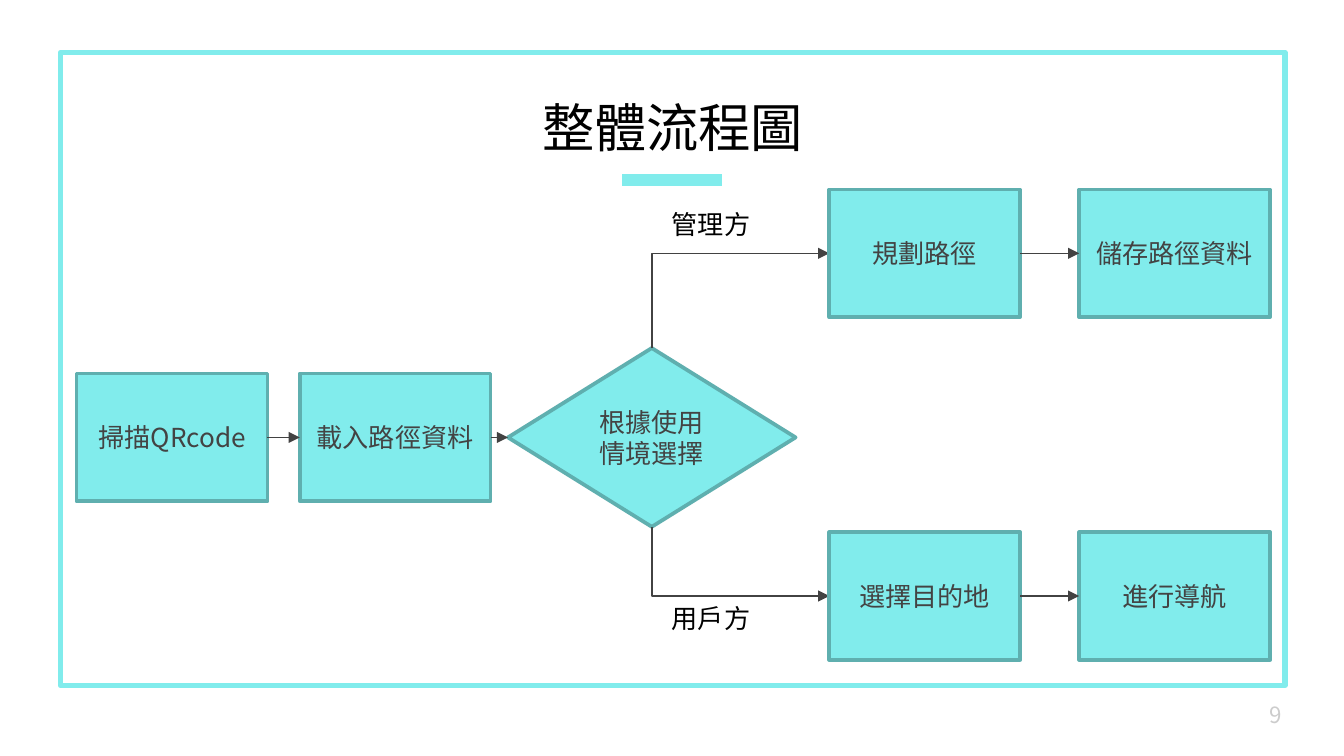
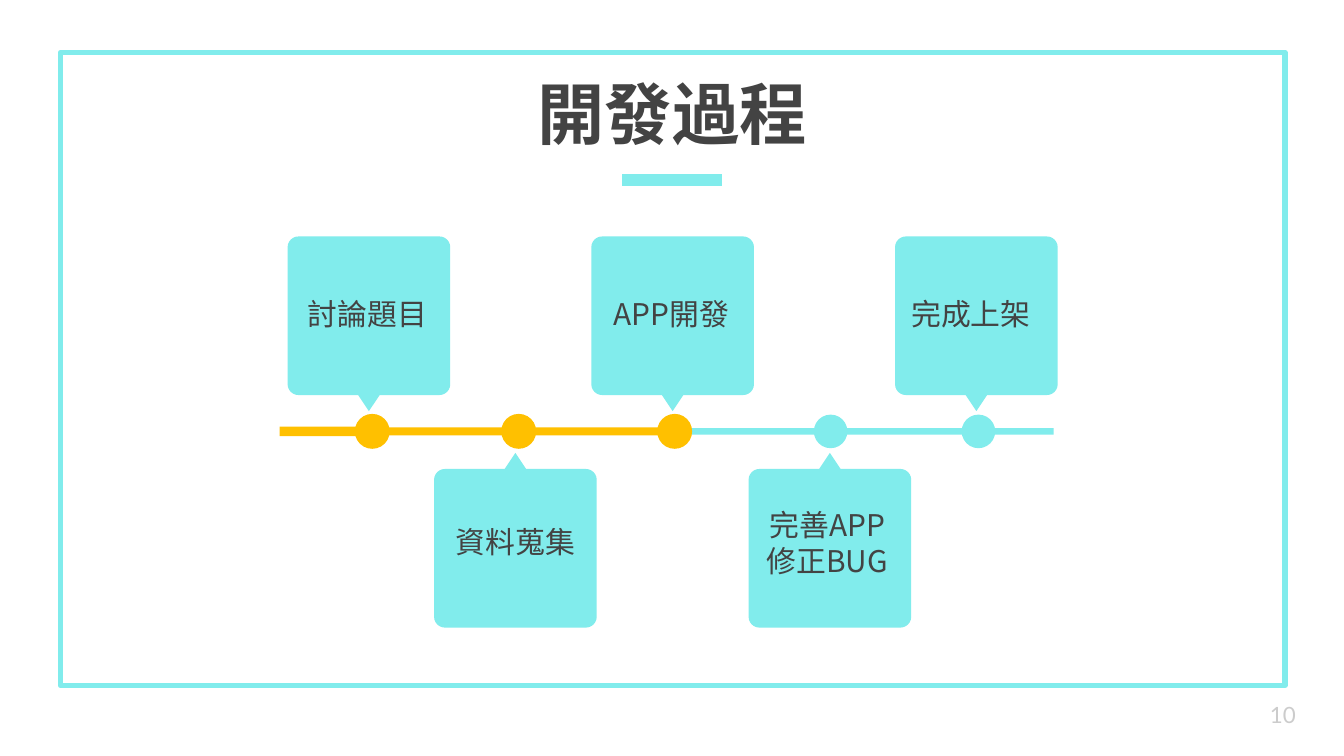
import math
from itertools import pairwise

from lxml import etree
from pptx import Presentation
from pptx import util as u
from pptx.dml.color import RGBColor
from pptx.enum import shapes, text
from pptx.oxml.ns import qn

AQUA, TEAL, GOLD = "81ECEC", "5FAFAF", "FFC000"
INK, ARROW, BLACK, GREY = "434343", "424242", "000000", "CCCCCC"
CJK = "Noto Sans CJK JP"
TITLE_ONLY = 5
SLIDE_WIDTH = 10
SLIDE_HEIGHT = SLIDE_WIDTH * 9 / 16
BOX_WIDTH, BOX_HEIGHT = 1.42, 0.95
CARD_WIDTH, CARD_HEIGHT, CARD_RADIUS = 1.21, 1.18, 0.08
POINTER_HALF, POINTER_HEIGHT = 0.08, 0.12


def color(value):
    return RGBColor.from_string(value)


def inches(*values):
    return [u.Inches(value) for value in values]


def write(shape, content, size=14, fill=INK, font=CJK, bold=False, align="LEFT",
          anchor="TOP", inset=None, wrap=True, grow=False):
    frame = shape.text_frame
    frame.text = content
    frame.word_wrap = wrap
    fit = text.MSO_AUTO_SIZE
    frame.auto_size = fit.SHAPE_TO_FIT_TEXT if grow else fit.NONE
    frame.vertical_anchor = text.MSO_ANCHOR[anchor]
    if inset is not None:
        for side in ("left", "top", "right", "bottom"):
            setattr(frame, f"margin_{side}", u.Inches(inset))
    for paragraph in frame.paragraphs:
        paragraph.alignment = text.PP_ALIGN[align]
        for run in paragraph.runs:
            run.font.size = u.Pt(size)
            run.font.bold = bold
            run.font.color.rgb = color(fill)
            run.font.name = font
            latin = run.font._element.find(qn("a:latin"))
            east_asian = etree.Element(qn("a:ea"), typeface=font)
            latin.addnext(east_asian)


def add_text(slide, box, content, **style):
    shape = slide.shapes.add_textbox(*inches(*box))
    write(shape, content, **style)
    return shape


def paint(shape, fill=None, line=None, width=0):
    shape.shadow.inherit = False
    if fill:
        shape.fill.solid()
        shape.fill.fore_color.rgb = color(fill)
    else:
        shape.fill.background()
    if line:
        shape.line.color.rgb = color(line)
        shape.line.width = u.Pt(width)
        etree.SubElement(shape.line._get_or_add_ln(), qn("a:round"))
    else:
        shape.line.fill.background()
    return shape


def add_shape(slide, kind, box, **style):
    shape = slide.shapes.add_shape(shapes.MSO_SHAPE[kind], *inches(*box))
    return paint(shape, **style)


def add_line(slide, start, end, kind="STRAIGHT", line=ARROW, width=0.75, arrow=True):
    connector = slide.shapes.add_connector(
        shapes.MSO_CONNECTOR[kind], *inches(*start, *end))
    connector.line.color.rgb = color(line)
    connector.line.width = u.Pt(width)
    if arrow:
        etree.SubElement(connector.line._get_or_add_ln(), qn("a:tailEnd"), type="triangle")
    etree.SubElement(connector.element.spPr, qn("a:effectLst"))
    return connector


def join(slide, source, target):
    connector = add_line(slide, (0, 0), (1, 1))
    connector.begin_connect(source, 3)
    connector.end_connect(target, 1)


def add_bend(slide, start, end):
    rise, run = abs(end[1] - start[1]), end[0] - start[0]
    middle_x, middle_y = (start[0] + end[0]) / 2, (start[1] + end[1]) / 2
    left, right = middle_x - rise / 2, middle_x + rise / 2
    top, bottom = middle_y - run / 2, middle_y + run / 2
    upward = end[1] < start[1]
    if upward:
        top, bottom = bottom, top
    connector = add_line(slide, (right, top), (left, bottom), "ELBOW")
    properties = connector.element.spPr
    properties.find(qn("a:xfrm")).set("rot", "5400000" if upward else "16200000")
    properties.find(qn("a:prstGeom")).set("prst", "bentConnector2")


def add_page(presentation, number, title, title_box, number_font=CJK, **title_style):
    slide = presentation.slides.add_slide(presentation.slide_layouts[TITLE_ONLY])
    add_shape(slide, "RECTANGLE", (0.45, 0.39, 9.11, 4.71), line=AQUA, width=3)
    add_line(slide, (4.63, 1.34), (5.37, 1.34), line=AQUA, width=6, arrow=False)
    heading = slide.shapes.title
    heading.left, heading.top, heading.width, heading.height = inches(*title_box)
    write(heading, title, align="CENTER", **title_style)
    add_text(slide, (9.35, 5.1, 0.6, 0.43), str(number), size=12, fill=GREY,
             font=number_font, anchor="MIDDLE", inset=0.1)
    return slide


def add_step(slide, left, top, content, kind="RECTANGLE", width=BOX_WIDTH, height=BOX_HEIGHT):
    shape = add_shape(slide, kind, (left, top, width, height), fill=AQUA, line=TEAL, width=2)
    write(shape, content, align="CENTER", anchor="MIDDLE")
    return shape


def add_branch(slide, start, left, top, label_top, label, steps):
    add_bend(slide, start, (left, top + BOX_HEIGHT / 2))
    boxes = [add_step(slide, left + index * 1.86, top, step)
             for index, step in enumerate(steps)]
    join(slide, *boxes)
    add_text(slide, (4.9, label_top, 0.79, 0.34), label, fill=BLACK, wrap=False, grow=True)


def build_flow(presentation):
    slide = add_page(presentation, 9, "整體流程圖", (3.92, 0.66, 2.17, 0.57),
                     size=28, fill=BLACK, wrap=False, grow=True, inset=0.05)
    chain = [
        add_step(slide, 0.57, 2.78, "掃描QRcode"),
        add_step(slide, 2.23, 2.78, "載入路徑資料"),
        add_step(slide, 3.78, 2.59, "根據使用情境選擇", "DIAMOND", 2.14, 1.33),
    ]
    for source, target in pairwise(chain):
        join(slide, source, target)
    add_branch(slide, (4.85, 2.59), 6.17, 1.41, 1.5, "管理方", ["規劃路徑", "儲存路徑資料"])
    add_branch(slide, (4.85, 3.92), 6.17, 3.96, 4.43, "用戶方", ["選擇目的地", "進行導航"])


def card_outline():
    right, bottom, radius = CARD_WIDTH, CARD_HEIGHT, CARD_RADIUS
    corners = [(radius, radius, 180), (right - radius, radius, 270),
               (right - radius, bottom - radius, 0), (radius, bottom - radius, 90)]
    points = []
    for index, (x, y, start) in enumerate(corners):
        if index == 3:
            points += [(right / 2 + POINTER_HALF, bottom),
                       (right / 2, bottom + POINTER_HEIGHT),
                       (right / 2 - POINTER_HALF, bottom)]
        for degrees in range(start, start + 91, 15):
            angle = math.radians(degrees)
            points.append((x + radius * math.cos(angle), y + radius * math.sin(angle)))
    return points


def add_card(slide, left, top, above, label, label_left, label_top):
    full = CARD_HEIGHT + POINTER_HEIGHT
    points = [(u.Inches(left + x), u.Inches(top + (y if above else full - y)))
              for x, y in card_outline()]
    builder = slide.shapes.build_freeform(*points[0])
    builder.add_line_segments(points[1:])
    paint(builder.convert_to_shape(), fill=AQUA)
    add_text(slide, (left + label_left, top + label_top, 1.13, 0.26), label,
             size=16, align="CENTER", inset=0.1)


def add_track(slide, middle):
    bars = [(2.09, 7.84, 0.05, AQUA), (2.08, 2.7, 0.07, GOLD),
            (2.89, 3.77, 0.06, GOLD), (3.98, 5, 0.06, GOLD)]
    for left, right, height, fill in bars:
        add_shape(slide, "RECTANGLE", (left, middle - height / 2, right - left, height), fill=fill)
    dots = [(2.77, GOLD), (3.86, GOLD), (5.02, GOLD), (6.18, AQUA), (7.28, AQUA)]
    for center, fill in dots:
        size = 0.26 if fill == GOLD else 0.25
        add_shape(slide, "OVAL", (center - size / 2, middle - size / 2, size, size), fill=fill)


def build_timeline(presentation):
    slide = add_page(presentation, 10, "開發過程", (0, 0.24, 10, 1), number_font="Lato",
                     size=36, font="Roboto", bold=True, anchor="BOTTOM", inset=0.1)
    cards = [
        (2.14, True, "討論題目", 0.03, 0.34),
        (3.23, False, "資料蒐集", 0.04, 0.43),
        (4.4, True, "APP開發", 0.03, 0.34),
        (5.57, False, "完善APP\n修正BUG", 0.02, 0.3),
        (6.66, True, "完成上架", 0, 0.34),
    ]
    for left, above, label, label_left, label_top in cards:
        add_card(slide, left, 1.76 if above else 3.37, above, label, label_left, label_top)
    add_track(slide, 3.21)


def main():
    presentation = Presentation()
    presentation.slide_width, presentation.slide_height = inches(SLIDE_WIDTH, SLIDE_HEIGHT)
    build_flow(presentation)
    build_timeline(presentation)
    presentation.save("out.pptx")


if __name__ == "__main__":
    main()
